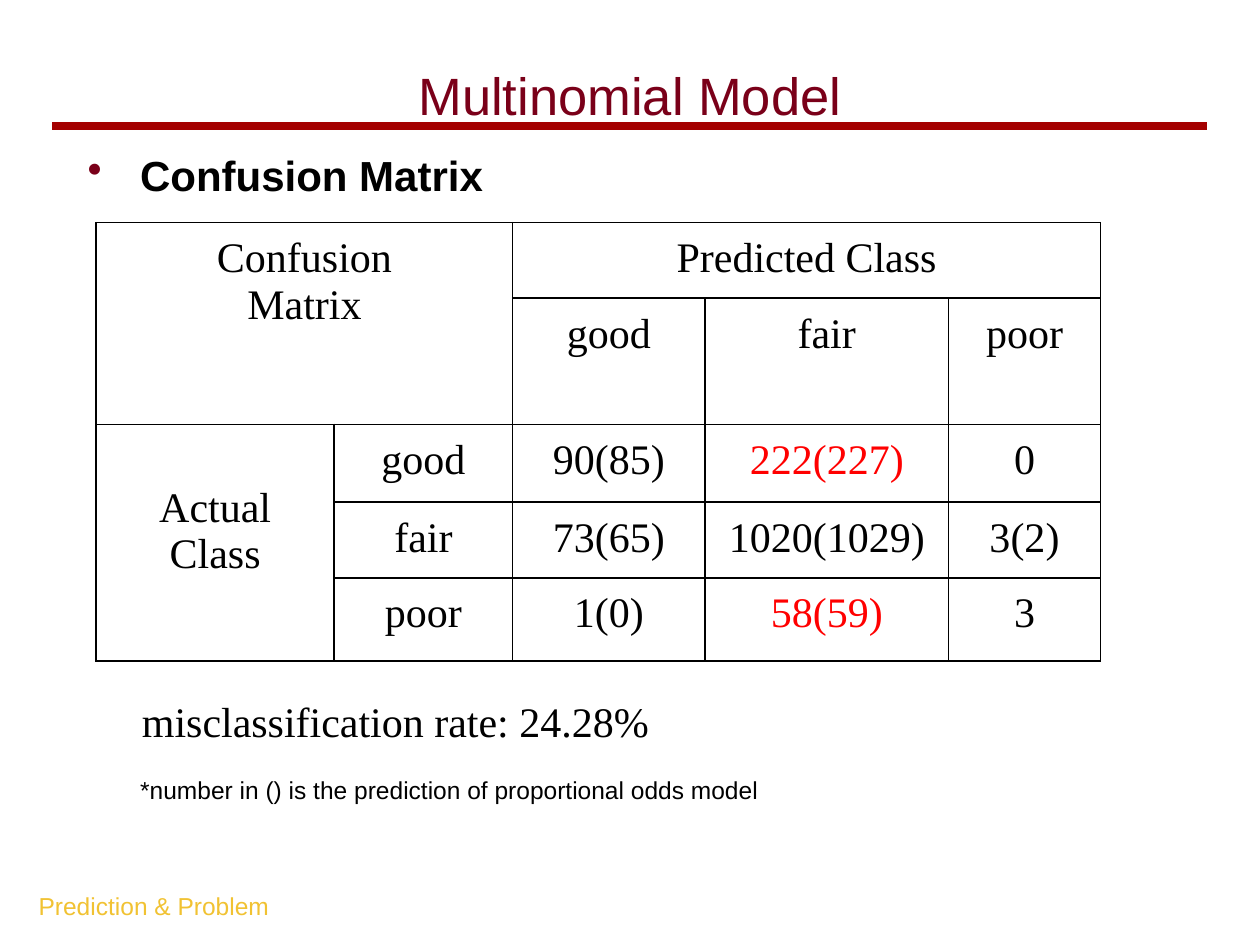
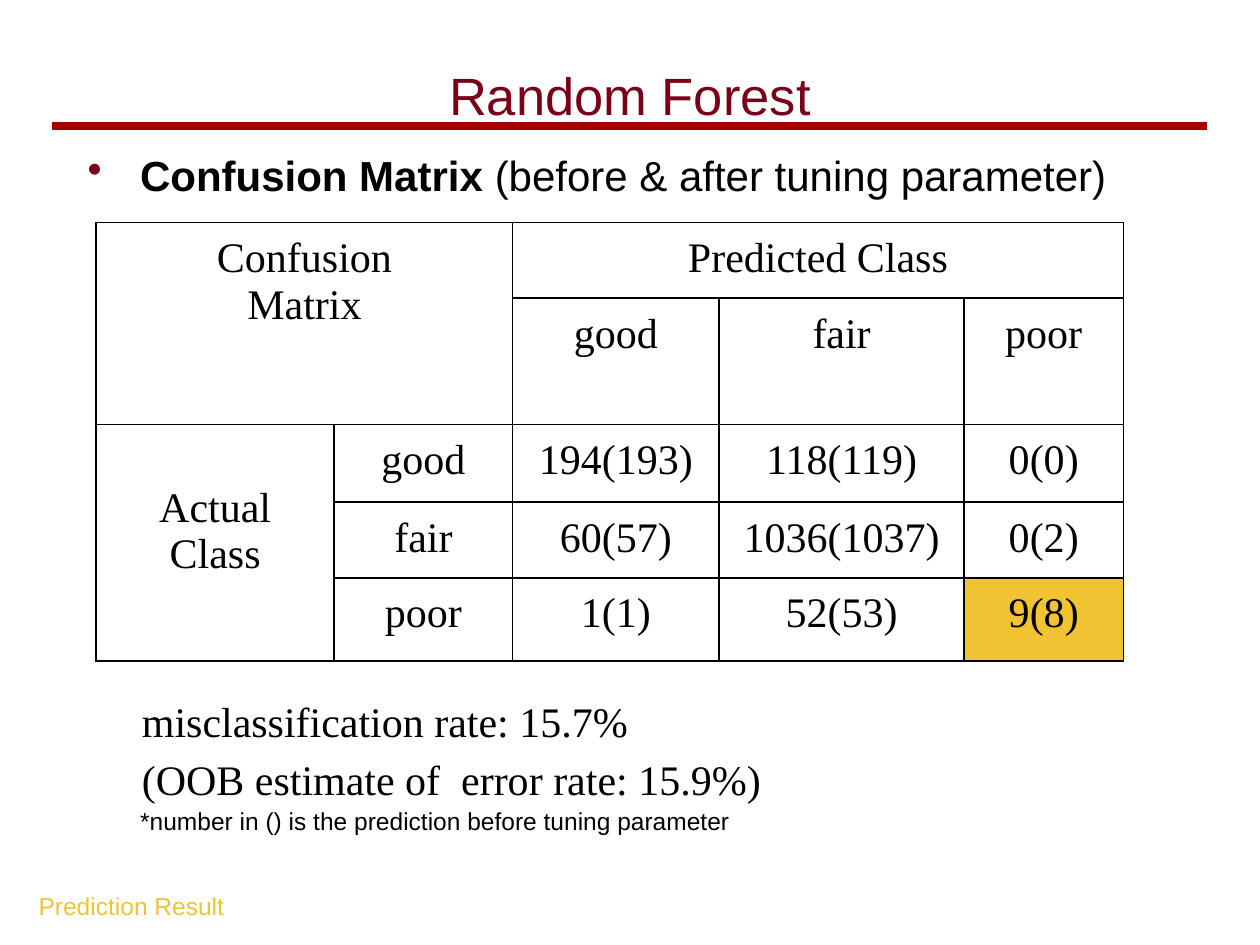
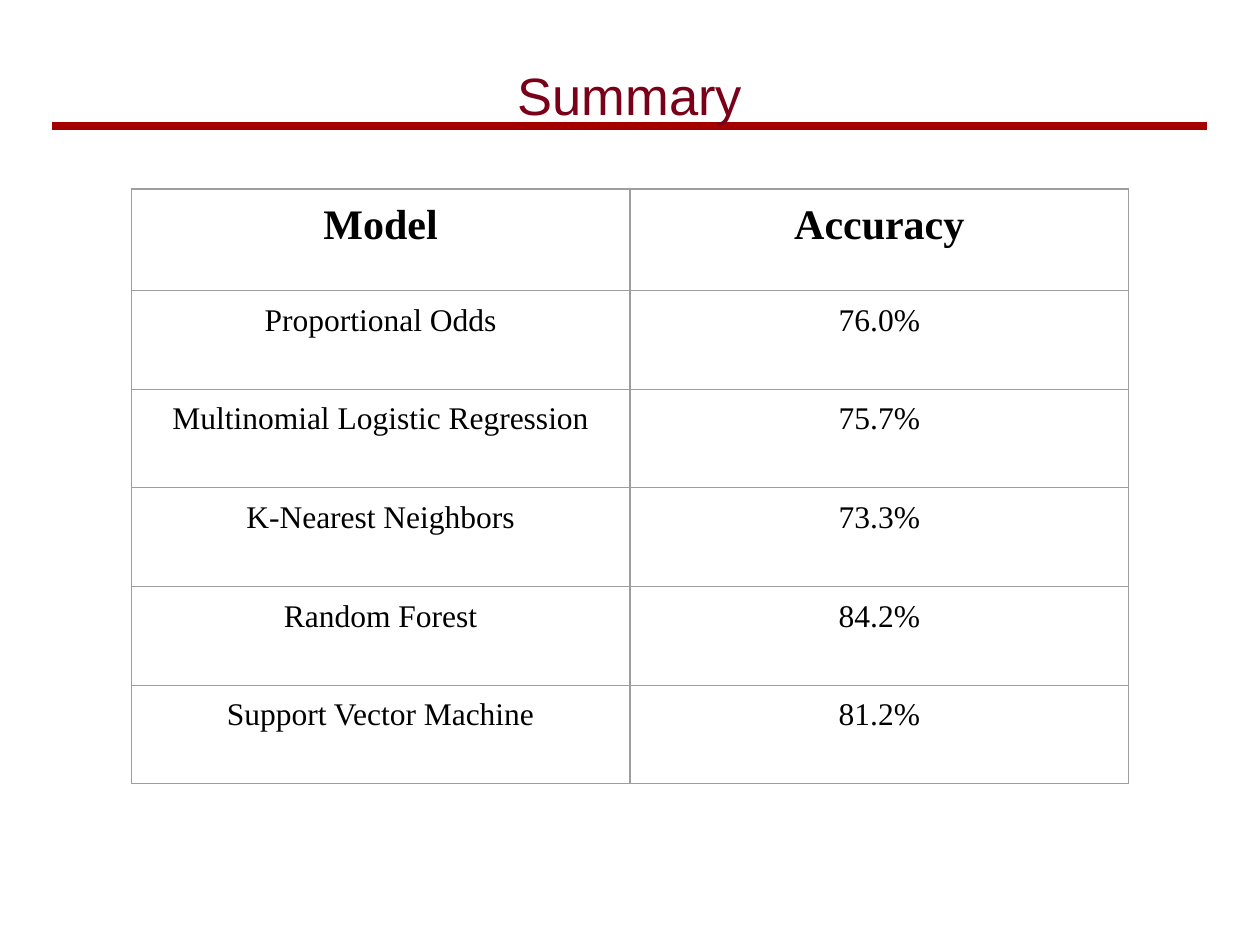
"""Build three slides that compare credit classification models."""
from dataclasses import dataclass

from lxml import etree
from pptx import Presentation
from pptx import util as u
from pptx.dml.color import RGBColor
from pptx.enum import shapes, text
from pptx.oxml.ns import qn


@dataclass(frozen=True)
class Theme:
    """Colours, fonts and type sizes of the slides."""

    title: str = "7A0019"
    rule: str = "A40000"
    ink: str = "000000"
    alert: str = "FF0000"
    gold: str = "F1C232"
    grid: str = "9E9E9E"
    sans: str = "Arial"
    serif: str = "Times New Roman"
    title_size: float = 30
    large: float = 24
    medium: float = 18
    small: float = 14
    inset: float = 7.2


THEME = Theme()
CLASSES = ["good", "fair", "poor"]
MATRIX_ROWS = [42, 67.5, 44.5, 42, 47.5]
CELL_SIDE_MARGIN = 5
ACTUAL_CLASS_TOP = 34.8


def style_font(font, name, size, color=THEME.ink, bold=False):
    """Set the face, size, colour and weight of a font."""
    font.name = name
    font.size = u.Pt(size)
    font.color.rgb = RGBColor.from_string(color)
    font.bold = bold


def set_insets(frame, sides=THEME.inset):
    """Set the inner margins of a text frame or table cell."""
    frame.margin_left = frame.margin_right = u.Pt(sides)
    frame.margin_top = frame.margin_bottom = u.Pt(THEME.inset)


def place(shape, left, top, width, height):
    """Move and size a shape in points."""
    shape.left, shape.top = u.Pt(left), u.Pt(top)
    shape.width, shape.height = u.Pt(width), u.Pt(height)


def add_title_rule(slide):
    """Draw the rule under the title, behind all other shapes."""
    rule = slide.shapes.add_connector(
        shapes.MSO_CONNECTOR.STRAIGHT, u.Pt(30), u.Pt(72), u.Pt(690), u.Pt(72)
    )
    rule.line.color.rgb = RGBColor.from_string(THEME.rule)
    rule.line.width = u.Pt(4.5)
    properties = rule.element.find(qn("p:spPr"))
    etree.SubElement(properties, qn("a:effectLst"))
    slide.shapes.element.insert(2, rule.element)


def add_titled_slide(presentation, title):
    """Add a slide with the shared title style and rule."""
    slide = presentation.slides.add_slide(presentation.slide_layouts[5])
    shape = slide.shapes.title
    place(shape, 30, 12, 660, 84)
    frame = shape.text_frame
    frame.text = title
    frame.vertical_anchor = text.MSO_ANCHOR.MIDDLE
    set_insets(frame)
    paragraph = frame.paragraphs[0]
    paragraph.alignment = text.PP_ALIGN.CENTER
    style_font(paragraph.font, THEME.sans, THEME.title_size, THEME.title)
    add_title_rule(slide)
    return slide


def add_text(slide, content, left, top, width, height):
    """Add a wrapping text box and return its text frame."""
    box = slide.shapes.add_textbox(u.Pt(left), u.Pt(top), u.Pt(width), u.Pt(height))
    frame = box.text_frame
    frame.word_wrap = True
    set_insets(frame)
    frame.text = content
    return frame


def add_heading(slide, lead, detail=""):
    """Add the bulleted heading, with a bold lead and a plain detail."""
    frame = add_text(slide, lead, 37, 78, 665, 50)
    paragraph = frame.paragraphs[0]
    paragraph.runs[0].font.bold = True
    if detail:
        run = paragraph.add_run()
        run.text = detail
        run.font.bold = False
    properties = paragraph._p.get_or_add_pPr()
    properties.set("marL", str(u.Pt(36)))
    properties.set("indent", str(u.Pt(-30)))
    color = etree.SubElement(properties, qn("a:buClr"))
    etree.SubElement(color, qn("a:srgbClr"), val=THEME.title)
    etree.SubElement(properties, qn("a:buChar"), char="•")
    style_font(paragraph.font, THEME.sans, THEME.large)


def add_rates(slide, lines):
    """Add the indented error rates below the matrix."""
    frame = add_text(slide, "\n".join(lines), 58, 386, 533, 62)
    for paragraph in frame.paragraphs:
        paragraph._p.get_or_add_pPr().set("indent", str(u.Pt(16)))
        paragraph.line_spacing = 1.15
        style_font(paragraph.font, THEME.serif, THEME.large)


def add_small_text(slide, content, left, top, width, color=THEME.ink):
    """Add one line of small text."""
    frame = add_text(slide, content, left, top, width, 30)
    style_font(frame.paragraphs[0].font, THEME.sans, THEME.small, color)


def set_borders(cell, color, width):
    """Draw a solid line on each side of a cell."""
    properties = cell._tc.get_or_add_tcPr()
    for side in ("a:lnL", "a:lnR", "a:lnT", "a:lnB"):
        line = etree.SubElement(properties, qn(side), w=str(u.Pt(width)))
        fill = etree.SubElement(line, qn("a:solidFill"))
        etree.SubElement(fill, qn("a:srgbClr"), val=color)


def style_cell(cell, size, bold=False, color=THEME.ink):
    """Centre the text of a cell and set its font."""
    for paragraph in cell.text_frame.paragraphs:
        paragraph.alignment = text.PP_ALIGN.CENTER
        style_font(paragraph.font, THEME.serif, size, color, bold)


def add_grid(slide, rows, left, top, widths, heights, border, side_margin):
    """Add an unfilled table with ruled cells."""
    frame = slide.shapes.add_table(
        len(heights), len(widths), u.Pt(left), u.Pt(top),
        u.Pt(sum(widths)), u.Pt(sum(heights)),
    )
    table = frame.table
    table.first_row = table.horz_banding = False
    for column, width in zip(table.columns, widths):
        column.width = u.Pt(width)
    for row, height, values in zip(table.rows, heights, rows):
        row.height = u.Pt(height)
        for cell, value in zip(row.cells, values):
            cell.text = value
            set_insets(cell, side_margin)
            set_borders(cell, *border)
            cell.fill.background()
            style_cell(cell, THEME.large)
    return table


def add_confusion_matrix(slide, counts, value_widths):
    """Add a matrix of actual against predicted classes."""
    rows = [
        ["Confusion\nMatrix", "", "Predicted Class", "", ""],
        ["", "", *CLASSES],
        *(["", name, *values] for name, values in zip(CLASSES, counts)),
    ]
    rows[2][0] = "Actual\nClass"
    table = add_grid(
        slide, rows, 55, 127.2, [136, 102, *value_widths], MATRIX_ROWS,
        (THEME.ink, 1), CELL_SIDE_MARGIN,
    )
    table.cell(0, 0).merge(table.cell(1, 1))
    table.cell(0, 2).merge(table.cell(0, 4))
    table.cell(2, 0).merge(table.cell(4, 0))
    table.cell(2, 0).margin_top = u.Pt(ACTUAL_CLASS_TOP)
    return table


def add_multinomial_slide(presentation):
    """Add the slide on the multinomial model."""
    slide = add_titled_slide(presentation, "Multinomial Model")
    add_heading(slide, "Confusion Matrix")
    counts = [
        ["90(85)", "222(227)", "0"],
        ["73(65)", "1020(1029)", "3(2)"],
        ["1(0)", "58(59)", "3"],
    ]
    table = add_confusion_matrix(slide, counts, [110, 139, 87])
    for row in (2, 4):
        style_cell(table.cell(row, 3), THEME.large, color=THEME.alert)
    add_rates(slide, ["misclassification rate: 24.28%"])
    add_small_text(slide, "Prediction & Problem", 15, 502, 235, THEME.gold)
    note = "*number in () is the prediction of proportional odds model"
    add_small_text(slide, note, 73, 435.6, 511)


def add_forest_slide(presentation):
    """Add the slide on the random forest."""
    slide = add_titled_slide(presentation, "Random Forest")
    add_heading(slide, "Confusion Matrix ", "(before & after tuning parameter)")
    counts = [
        ["194(193)", "118(119)", "0(0)"],
        ["60(57)", "1036(1037)", "0(2)"],
        ["1(1)", "52(53)", "9(8)"],
    ]
    table = add_confusion_matrix(slide, counts, [118, 140, 91])
    best = table.cell(4, 4)
    best.fill.solid()
    best.fill.fore_color.rgb = RGBColor.from_string(THEME.gold)
    add_rates(
        slide,
        ["misclassification rate: 15.7%", "(OOB estimate of  error rate: 15.9%)"],
    )
    add_small_text(slide, "Prediction Result", 15, 502, 235, THEME.gold)
    note = "*number in () is the prediction before tuning parameter"
    add_small_text(slide, note, 73, 453.6, 511)


def add_summary_slide(presentation):
    """Add the slide that lists the accuracy of each model."""
    slide = add_titled_slide(presentation, "Summary")
    rows = [
        ["Model", "Accuracy"],
        ["Proportional Odds", "76.0%"],
        ["Multinomial Logistic Regression", "75.7%"],
        ["K-Nearest Neighbors", "73.3%"],
        ["Random Forest", "84.2%"],
        ["Support Vector Machine", "81.2%"],
    ]
    heights = [58] + [56.4] * (len(rows) - 1)
    table = add_grid(
        slide, rows, 75, 108, [285, 285], heights, (THEME.grid, 0.75), THEME.inset
    )
    for index, row in enumerate(table.rows):
        header = index == 0
        for cell in row.cells:
            style_cell(cell, THEME.large if header else THEME.medium, bold=header)


def main():
    """Build and save the presentation."""
    presentation = Presentation()
    presentation.slide_width, presentation.slide_height = u.Pt(720), u.Pt(540)
    add_multinomial_slide(presentation)
    add_forest_slide(presentation)
    add_summary_slide(presentation)
    presentation.save("out.pptx")


if __name__ == "__main__":
    main()
